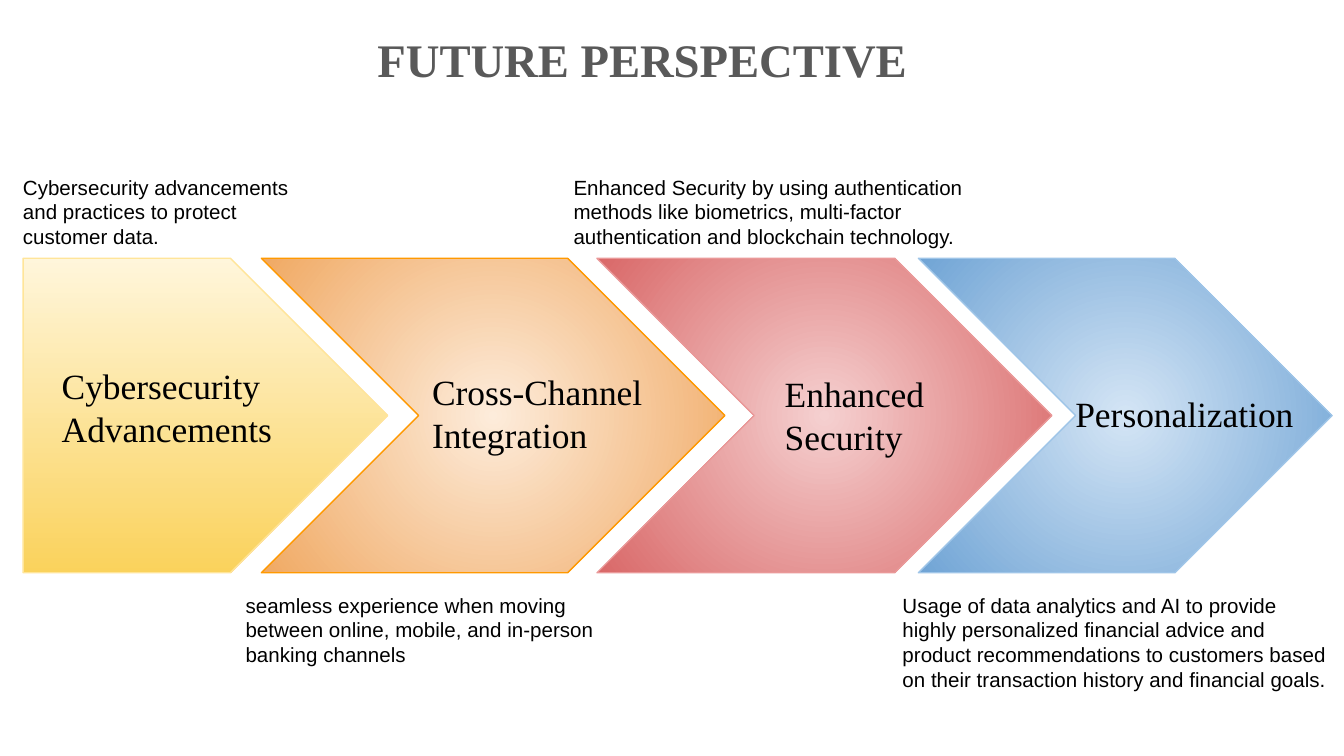
from dataclasses import dataclass

from lxml import etree
from pptx import Presentation
from pptx import util as u
from pptx.dml.color import RGBColor
from pptx.enum import shapes, text
from pptx.oxml.ns import qn


@dataclass(frozen=True)
class Theme:
    heading_font: str = "Times New Roman"
    body_font: str = "Arial"
    title_color: str = "595959"
    text_color: str = "000000"
    title_size: float = 25
    label_size: float = 19
    note_size: float = 11
    inset: float = 7.2
    outline: float = 0.75
    # Each palette: gradient start, gradient end, outline
    yellow: tuple = ("FFF6DB", "FAD25C", "FFE599")
    orange: tuple = ("FDECDB", "F0A963", "FF9900")
    red: tuple = ("F5D0D0", "D96868", "EA9999")
    blue: tuple = ("D4E5F5", "70A4D5", "9FC5E8")


class SlideBuilder:
    def __init__(self, slide, theme):
        self.slide = slide
        self.theme = theme

    def format_text(self, shape, content, font_name, size, color, bold=False, grow=False):
        frame = shape.text_frame
        frame.text = content
        frame.word_wrap = True
        frame.auto_size = (text.MSO_AUTO_SIZE.SHAPE_TO_FIT_TEXT if grow
                           else text.MSO_AUTO_SIZE.NONE)
        frame.vertical_anchor = text.MSO_ANCHOR.TOP
        frame.margin_left = frame.margin_right = u.Pt(self.theme.inset)
        frame.margin_top = frame.margin_bottom = u.Pt(self.theme.inset)
        paragraph = frame.paragraphs[0]
        paragraph.alignment = text.PP_ALIGN.LEFT
        paragraph.font.name = font_name
        paragraph.font.size = u.Pt(size)
        paragraph.font.bold = bold
        paragraph.font.color.rgb = RGBColor.from_string(color)

    def title(self, content, left, top, width, height):
        shape = self.slide.shapes.title
        shape.left, shape.top = u.Pt(left), u.Pt(top)
        shape.width, shape.height = u.Pt(width), u.Pt(height)
        self.format_text(shape, content, self.theme.heading_font,
                         self.theme.title_size, self.theme.title_color, bold=True)

    def arrow(self, kind, palette, left, top, width, height, radial):
        shape = self.slide.shapes.add_shape(
            kind, u.Pt(left), u.Pt(top), u.Pt(width), u.Pt(height))
        shape.shadow.inherit = False
        shape.adjustments[0] = 0.5
        start, end, outline = palette
        shape.fill.gradient()
        shape.fill.gradient_angle = 270
        for stop, position, color in zip(shape.fill.gradient_stops, (0, 1), (start, end)):
            stop.position = position
            stop.color.rgb = RGBColor.from_string(color)
        if radial:
            self.make_radial(shape)
        shape.line.color.rgb = RGBColor.from_string(outline)
        shape.line.width = u.Pt(self.theme.outline)

    def make_radial(self, shape):
        gradient = shape.element.spPr.find(qn("a:gradFill"))
        linear = gradient.find(qn("a:lin"))
        circle = etree.Element(qn("a:path"), path="circle")
        etree.SubElement(circle, qn("a:fillToRect"),
                         {side: "50000" for side in "ltrb"})
        gradient.replace(linear, circle)

    def text_box(self, content, box, font_name, size, grow=False):
        shape = self.slide.shapes.add_textbox(*(u.Pt(value) for value in box))
        self.format_text(shape, content, font_name, size, self.theme.text_color, grow=grow)

    def label(self, content, box, grow):
        self.text_box(content, box, self.theme.heading_font, self.theme.label_size, grow)

    def note(self, content, box):
        self.text_box(content, box, self.theme.body_font, self.theme.note_size)


def main():
    presentation = Presentation()
    presentation.slide_width, presentation.slide_height = u.Pt(720), u.Pt(405)
    slide = presentation.slides.add_slide(presentation.slide_layouts[5])
    theme = Theme()
    builder = SlideBuilder(slide, theme)

    builder.title("FUTURE PERSPECTIVE", 195, 9.4, 407, 60.5)

    # Chain of arrows: palette, left, width
    arrow_top, arrow_height = 138.4, 168.5
    arrows = [
        (theme.yellow, 12.4, 195.3),
        (theme.orange, 140, 248.3),
        (theme.red, 319.8, 243.7),
        (theme.blue, 492, 221.6),
    ]
    for index, (palette, left, width) in enumerate(arrows):
        first = index == 0
        kind = shapes.MSO_SHAPE.PENTAGON if first else shapes.MSO_SHAPE.CHEVRON
        builder.arrow(kind, palette, left, arrow_top, width, arrow_height, radial=not first)

    # Names on the arrows: wording, box, box grows with text
    labels = [
        ("Cybersecurity Advancements", (26, 188, 130.5, 69), False),
        ("Cross-Channel Integration", (224.4, 191.3, 135.5, 60.5), True),
        ("Enhanced Security", (413.3, 192.4, 140.5, 60.5), True),
        ("Personalization", (569, 203, 144.7, 37.5), True),
    ]
    for content, box, grow in labels:
        builder.label(content, box, grow)

    # Notes alternate above and below the arrows
    above, below = 86.4, 310.3
    notes = [
        ("Cybersecurity advancements and practices to protect customer data.",
         (5.2, above, 168, 50.4)),
        ("seamless experience when moving between online, mobile, and in-person "
         "banking channels", (124.5, below, 204.5, 69)),
        ("Enhanced Security by using authentication methods like biometrics, "
         "multi-factor authentication and blockchain technology.",
         (300.2, above, 228.2, 60.5)),
        ("Usage of data analytics and AI to provide highly personalized financial "
         "advice and product recommendations to customers based on their "
         "transaction history and financial goals.", (476.4, below, 243.4, 50.4)),
    ]
    for content, box in notes:
        builder.note(content, box)

    presentation.save("out.pptx")


if __name__ == "__main__":
    main()
